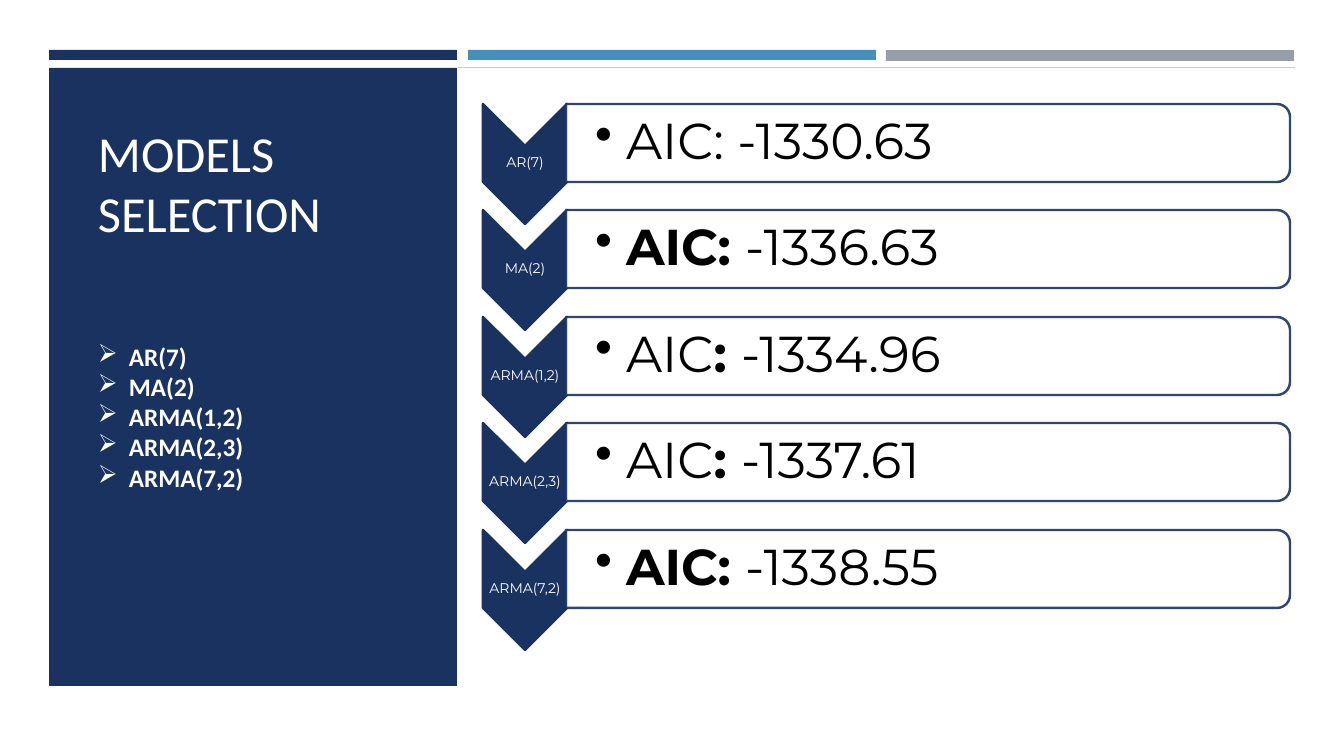
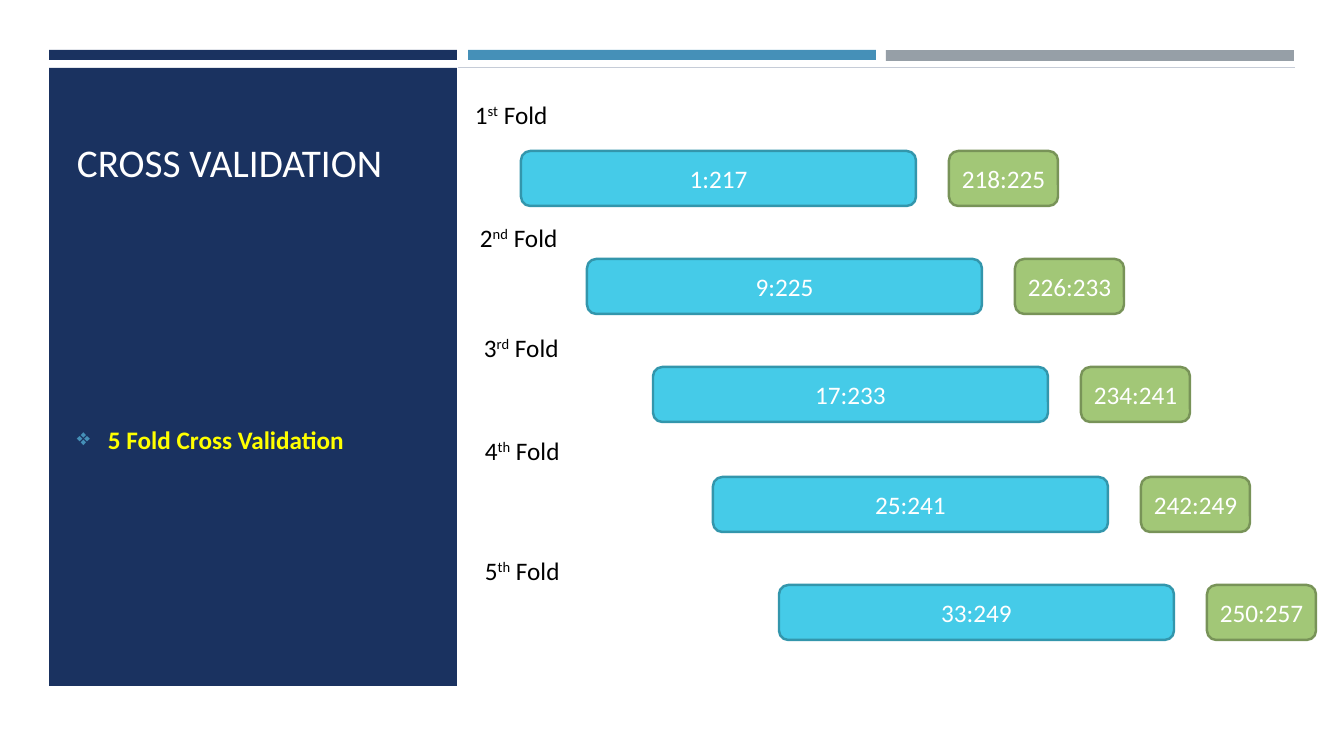
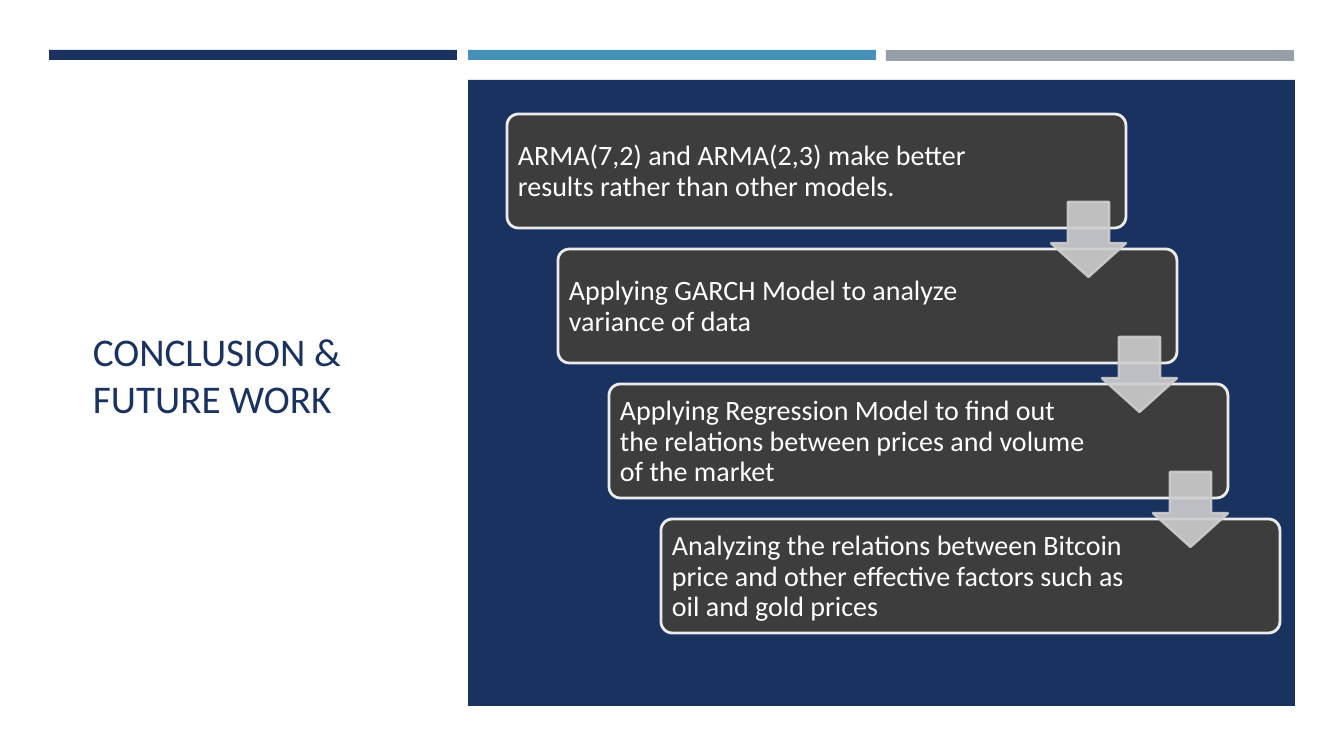
from lxml import etree
from pptx import Presentation
from pptx import util as u
from pptx.dml.color import RGBColor
from pptx.enum import shapes, text
from pptx.oxml.ns import qn

COLORS = {
    "navy": "1A3260", "blue": "4590B8", "gray": "969FA7", "white": "FFFFFF",
    "black": "000000", "yellow": "FFFF00", "hairline": "C6CCD7",
    "train": "45CBE8", "train_edge": "3396AC", "test": "A2C777", "test_edge": "789358",
    "card": "3D3D3D", "card_edge": "EBEBEB", "arrow": "CECECE",
}
SCALE = 914400 / 100.8
KIND = shapes.MSO_SHAPE
TOP, MIDDLE, BOTTOM = text.MSO_ANCHOR.TOP, text.MSO_ANCHOR.MIDDLE, text.MSO_ANCHOR.BOTTOM
LEFT, CENTER = text.PP_ALIGN.LEFT, text.PP_ALIGN.CENTER


def px(value):
    return u.Emu(round(value * SCALE))


def rgb(name):
    return RGBColor.from_string(COLORS[name])


def child(parent, tag, **attributes):
    return etree.SubElement(parent, qn(tag), attributes)


class Painter:
    def __init__(self):
        self.deck = Presentation()
        self.deck.slide_width, self.deck.slide_height = px(1344), px(756)
        self.page = None

    def new_page(self):
        self.page = self.deck.slides.add_slide(self.deck.slide_layouts[6])
        for left, height, color in ((49, 10, "navy"), (468, 10, "blue"), (886, 11, "gray")):
            self.shape((left, 50, 408, height), color)

    def sidebar(self):
        self.line((458, 67), (1295, 67), "hairline", 0.5)
        self.shape((49, 68, 408, 618), "navy")

    def shape(self, area, fill, kind=KIND.RECTANGLE, edge=None, width=1.75,
              turn=0, adjust=(), opacity=None):
        shape = self.page.shapes.add_shape(kind, *map(px, area))
        shape.shadow.inherit = False
        shape.rotation = turn
        for index, value in enumerate(adjust):
            shape.adjustments[index] = value
        shape.fill.solid()
        shape.fill.fore_color.rgb = rgb(fill)
        if edge:
            shape.line.color.rgb = rgb(edge)
            shape.line.width = u.Pt(width)
        else:
            shape.line.fill.background()
        if opacity:
            for color in shape._element.spPr.iter(qn("a:srgbClr")):
                child(color, "a:alpha", val=str(opacity * 1000))
        return shape

    def line(self, start, end, color, width):
        line = self.page.shapes.add_connector(
            shapes.MSO_CONNECTOR.STRAIGHT, *map(px, start + end))
        line.line.color.rgb = rgb(color)
        line.line.width = u.Pt(width)
        child(line._element.spPr, "a:effectLst")

    def text(self, area, paras, size, color, **style):
        box = self.page.shapes.add_textbox(*map(px, area))
        self.fill_text(box.text_frame, paras, size, color, **style)

    def title(self, area, words, size, color="white", anchor=BOTTOM):
        self.text(area, [[(words, {})]], size, color, anchor=anchor)

    def fill_text(self, frame, paras, size, color, font="Calibri", anchor=TOP, align=LEFT,
                  insets=(10, 5, 10, 5), spacing=None, bullet=None, bullet_color=None):
        frame.word_wrap = True
        frame.vertical_anchor = anchor
        (frame.margin_left, frame.margin_top,
         frame.margin_right, frame.margin_bottom) = map(px, insets)
        for index, runs in enumerate(paras):
            para = frame.add_paragraph() if index else frame.paragraphs[0]
            para.alignment = align
            if spacing:
                para.line_spacing = spacing
            if bullet:
                self.bullet(para, bullet, bullet_color)
            for words, look in runs:
                span = para.add_run()
                span.text = words
                span.font.name = font
                span.font.size = u.Pt(size)
                span.font.bold = look.get("bold", False)
                span.font.color.rgb = rgb(color)
                if look.get("raised"):
                    span._r.get_or_add_rPr().set("baseline", "30000")

    def bullet(self, para, mark, color):
        props = para._p.get_or_add_pPr()
        props.set("marL", str(px(31)))
        props.set("indent", str(-px(31)))
        if color:
            child(child(props, "a:buClr"), "a:srgbClr", val=COLORS[color])
            child(props, "a:buSzPct", val="92000")
        child(props, "a:buChar", char=mark)


BOLD = {"bold": True}
paint = Painter()

MODELS = [
    ("AR(7)", [("AIC: -1330.63", {})]),
    ("MA(2)", [("AIC: ", BOLD), ("-1336.63", {})]),
    ("ARMA(1,2)", [("AIC", {}), (": ", BOLD), ("-1334.96", {})]),
    ("ARMA(2,3)", [("AIC", {}), (": ", BOLD), ("-1337.61", {})]),
    ("ARMA(7,2)", [("AIC: ", BOLD), ("-1338.55", {})]),
]
paint.new_page()
paint.sidebar()
paint.title((88, 106, 340, 142), "MODELS SELECTION", 36)
paint.text((88, 336, 185, 163), [[(name, BOLD)] for name, _ in MODELS], 18, "white", bullet="➢")
for row, (name, score) in enumerate(MODELS):
    top = 104 + row * 533 // 5
    paint.shape((465, top + 18, 120, 84), "navy", KIND.CHEVRON, "navy", turn=90)
    paint.text((483, top + 41, 84, 36), [[(name, {})]], 10, "white", font="Montserrat",
               anchor=MIDDLE, align=CENTER, insets=(1, 1, 1, 1), spacing=0.9)
    paint.shape((889, top - 323, 78, 724), "white", KIND.ROUND_2_SAME_RECTANGLE, "navy",
                turn=90, opacity=90)
    paint.text((567, top + 4, 720, 71), [score], 36, "black", font="Montserrat",
               anchor=MIDDLE, insets=(28, 3, 3, 3), spacing=0.9, bullet="•")

FOLDS = [
    ("1", "st", (465, 94), (521, 151), "1:217", "218:225"),
    ("2", "nd", (470, 217), (587, 259), "9:225", "226:233"),
    ("3", "rd", (474, 327), (653, 367), "17:233", "234:241"),
    ("4", "th", (475, 430), (713, 477), "25:241", "242:249"),
    ("5", "th", (475, 550), (779, 585), "33:249", "250:257"),
]
paint.new_page()
paint.sidebar()
paint.title((67, 78, 376, 112), "CROSS VALIDATION", 28)
paint.text((67, 217, 376, 445), [[("5 Fold Cross Validation", BOLD)]], 18, "yellow",
           anchor=MIDDLE, bullet="❖", bullet_color="blue")
for number, suffix, label, (left, top), train, test in FOLDS:
    for start, width, words, color in ((left, 395, train, "train"),
                                       (left + 428, 109, test, "test")):
        bar = paint.shape((start, top, width, 55), color, KIND.ROUNDED_RECTANGLE,
                          color + "_edge")
        paint.fill_text(bar.text_frame, [[(words, {})]], 18, "white", anchor=MIDDLE,
                        align=CENTER, insets=(0, 5, 0, 5))
    paint.text(label + (102, 40), [[(number, {}), (suffix, {"raised": True}), (" Fold", {})]],
               18, "black")

CONCLUSIONS = [
    "ARMA(7,2) and ARMA(2,3) make better results rather than other models.",
    "Applying GARCH Model to analyze variance of data",
    "Applying Regression Model to find out the relations between prices and volume "
    "of the market",
    "Analyzing the relations between Bitcoin price and other effective factors such as "
    "oil and gold prices",
]
paint.new_page()
paint.shape((468, 80, 827, 626), "navy")
paint.title((83, 115, 337, 519), "CONCLUSION & FUTURE WORK", 28, "navy", MIDDLE)
corners = [(507 + step * 154 // 3, 114 + step * 135) for step in range(len(CONCLUSIONS))]
for (left, top), words in zip(corners, CONCLUSIONS):
    paint.shape((left, top, 619, 114), "card", KIND.ROUNDED_RECTANGLE, "card_edge", 2,
                adjust=(0.1,))
    paint.text((left + 3, top + 4, 486, 108), [[(words, {})]], 20, "white",
               anchor=MIDDLE, insets=(8, 8, 8, 8), spacing=0.9)
for left, top in corners[:-1]:
    paint.shape((left + 544, top + 88, 75, 75), "arrow", KIND.DOWN_ARROW, "arrow",
                adjust=(0.55, 0.45), opacity=90)

paint.deck.save("out.pptx")
